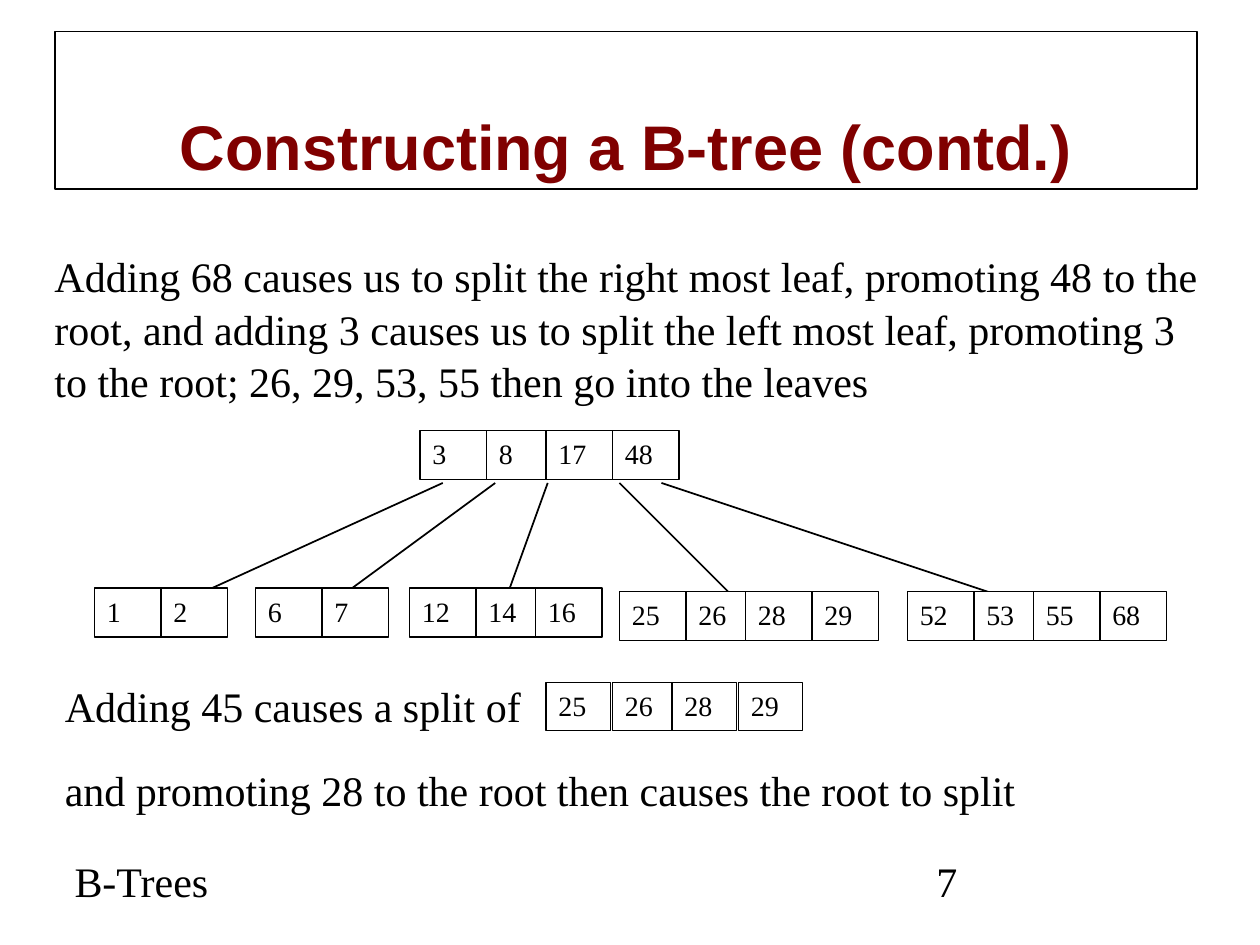
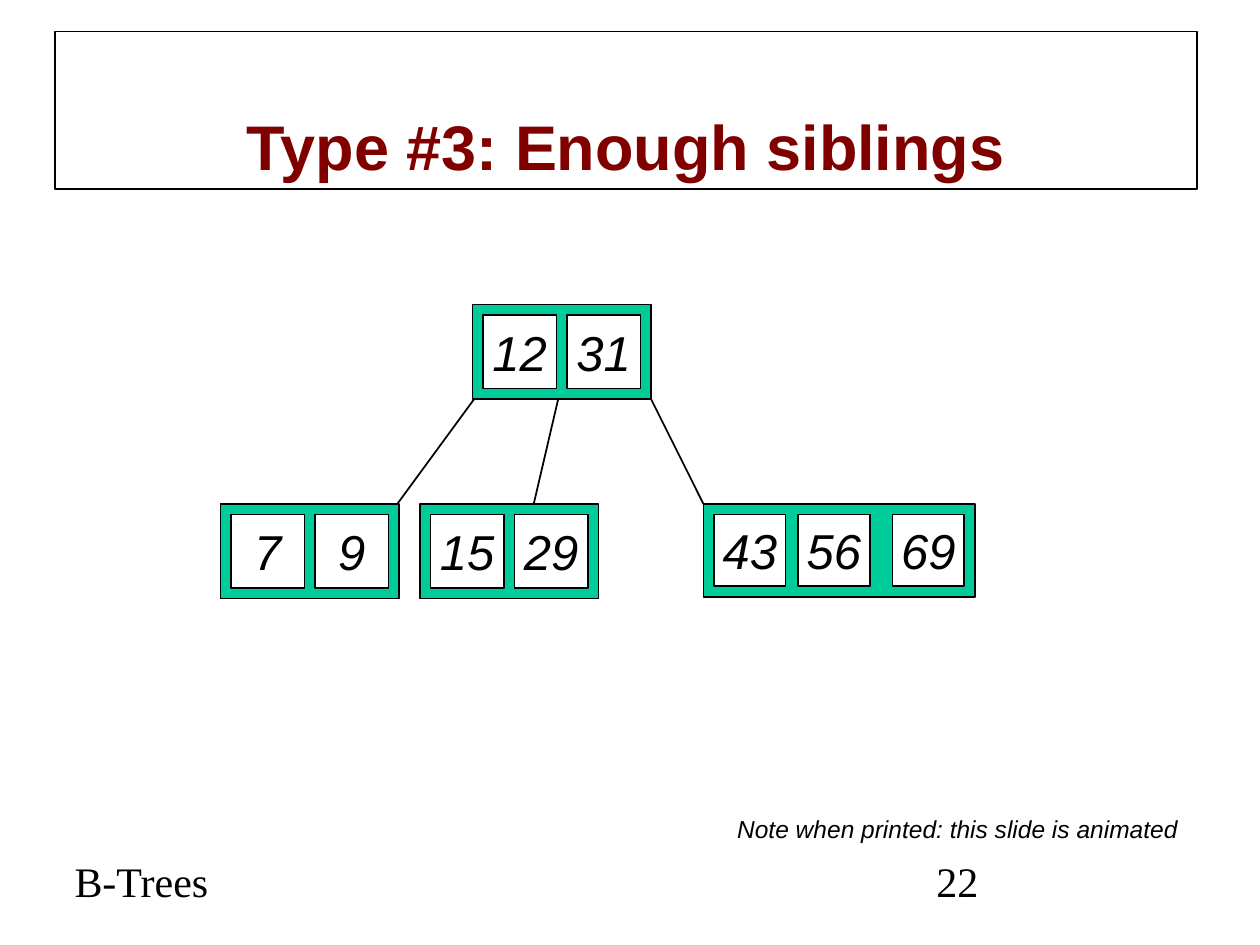
"""Build two B-tree lecture slides."""
import pptx
import pptx.dml.color
import pptx.enum.shapes
import pptx.enum.text
import pptx.oxml.ns
import pptx.util
from lxml import etree

Pt = pptx.util.Pt
ALIGN = pptx.enum.text.PP_ALIGN
ANCHOR = pptx.enum.text.MSO_ANCHOR
SERIF, SANS = "Times New Roman", "Arial"
BLACK, WHITE, MAROON, GREEN = "000000", "FFFFFF", "800000", "00CC99"
KEY_OFFSETS = (0, 38, 72, 110)


def color(value):
    return pptx.dml.color.RGBColor.from_string(value)


class Deck:
    def __init__(self):
        self.presentation = pptx.Presentation()
        self.presentation.slide_width = Pt(720)
        self.presentation.slide_height = Pt(540)
        self.slide = None

    def new_slide(self, title, number):
        layout = self.presentation.slide_layouts[5]
        self.slide = self.presentation.slides.add_slide(layout)
        shape = self.slide.shapes.title
        shape.left, shape.top, shape.width, shape.height = map(Pt, (31.5, 18, 652.5, 90))
        self.outline(shape, 0.75)
        self.set_text(shape, title, 36, SANS, MAROON, ALIGN.CENTER, ANCHOR.BOTTOM, bold=True)
        self.text("B-Trees", 35.5, 486, 215, 35, anchor=ANCHOR.BOTTOM)
        self.text(number, 528, 486, 149, 35, anchor=ANCHOR.BOTTOM)

    def outline(self, shape, weight):
        shape.line.color.rgb = color(BLACK)
        shape.line.width = Pt(weight)

    def set_text(self, shape, text, size, font, ink=BLACK, align=ALIGN.LEFT,
                 anchor=ANCHOR.TOP, bold=False, italic=False, wrap=True):
        frame = shape.text_frame
        frame.text = text
        frame.word_wrap = wrap
        frame.auto_size = pptx.enum.text.MSO_AUTO_SIZE.NONE
        frame.vertical_anchor = anchor
        paragraph = frame.paragraphs[0]
        paragraph.alignment = align
        paragraph.font.size = Pt(size)
        paragraph.font.name = font
        paragraph.font.bold = bold
        paragraph.font.italic = italic
        paragraph.font.color.rgb = color(ink)
        return paragraph

    def text(self, text, left, top, width, height, size=24, font=SERIF, **style):
        shape = self.slide.shapes.add_textbox(*map(Pt, (left, top, width, height)))
        return self.set_text(shape, text, size, font, **style)

    def prose(self, text, left, top, width, height):
        self.text(text, left, top, width, height).line_spacing = 1.05

    def box(self, left, top, width, height, fill=WHITE, weight=1):
        shape = self.slide.shapes.add_shape(
            pptx.enum.shapes.MSO_SHAPE.RECTANGLE, *map(Pt, (left, top, width, height)))
        shape.shadow.inherit = False
        shape.fill.solid()
        shape.fill.fore_color.rgb = color(fill)
        self.outline(shape, weight)
        return shape

    def line(self, *ends):
        connector = self.slide.shapes.add_connector(
            pptx.enum.shapes.MSO_CONNECTOR.STRAIGHT, *map(Pt, ends))
        self.outline(connector, 1)
        etree.SubElement(connector._element.spPr, pptx.oxml.ns.qn("a:effectLst"))

    def key_row(self, keys, left, top, width=38, height=28):
        for key, offset in zip(keys, KEY_OFFSETS):
            shape = self.box(left + offset, top, width, height, weight=0.75)
            self.set_text(shape, str(key), 16, SERIF)

    def framed_node(self, keys, left, top, width=102, height=54, cell=42, offsets=(6, 54)):
        self.box(left, top, width, height, GREEN)
        for key, offset in zip(keys, offsets):
            shape = self.box(left + offset, top + 6, cell, cell)
            self.set_text(shape, str(key), 28, SANS, align=ALIGN.CENTER,
                          anchor=ANCHOR.MIDDLE, italic=True, wrap=False)


def build_construction(deck):
    deck.new_slide("Constructing a B-tree (contd.)", "7")
    for root_x, leaf_x in ((253, 95), (283, 185), (313, 287), (354, 426), (378, 594)):
        deck.line(root_x, 276, leaf_x, 348)
    deck.prose("Adding 68 causes us to split the right most leaf, promoting 48 to the root, "
               "and adding 3 causes us to split the left most leaf, promoting 3 to the root; "
               "26, 29, 53, 55 then go into the leaves", 24, 138, 672, 94)
    split_leaf = (25, 26, 28, 29)
    deck.key_row((3, 8, 17, 48), 240, 246)
    for keys, left, top in (((1, 2), 54, 336), ((6, 7), 146, 336), ((12, 14, 16), 234, 336),
                            (split_leaf, 354, 338), ((52, 53, 55, 68), 518.5, 338)):
        deck.key_row(keys, left, top)
    deck.prose("Adding 45 causes a split of", 30, 384, 287, 36)
    deck.key_row(split_leaf, 312, 390, 36.7, 27.4)
    deck.prose("and promoting 28 to the root then causes the root to split", 30, 432, 653, 36)


def build_siblings(deck):
    deck.new_slide("Type #3: Enough siblings", "22")
    deck.framed_node((12, 31), 270, 174)
    deck.framed_node((7, 9), 126, 288)
    deck.framed_node((15, 29), 240, 288)
    deck.framed_node((43, 56, 69), 402, 288, 155, 53, 41, (6, 54, 108))
    for root_x, leaf_x in ((271, 227), (319, 305), (372, 402)):
        deck.line(root_x, 228, leaf_x, 288)
    deck.text("Note when printed: this slide is animated", 414, 461.5, 266.5, 24.5, 14, SANS,
              align=ALIGN.CENTER, anchor=ANCHOR.MIDDLE, italic=True, wrap=False)


def main():
    deck = Deck()
    build_construction(deck)
    build_siblings(deck)
    deck.presentation.save("out.pptx")


if __name__ == "__main__":
    main()
